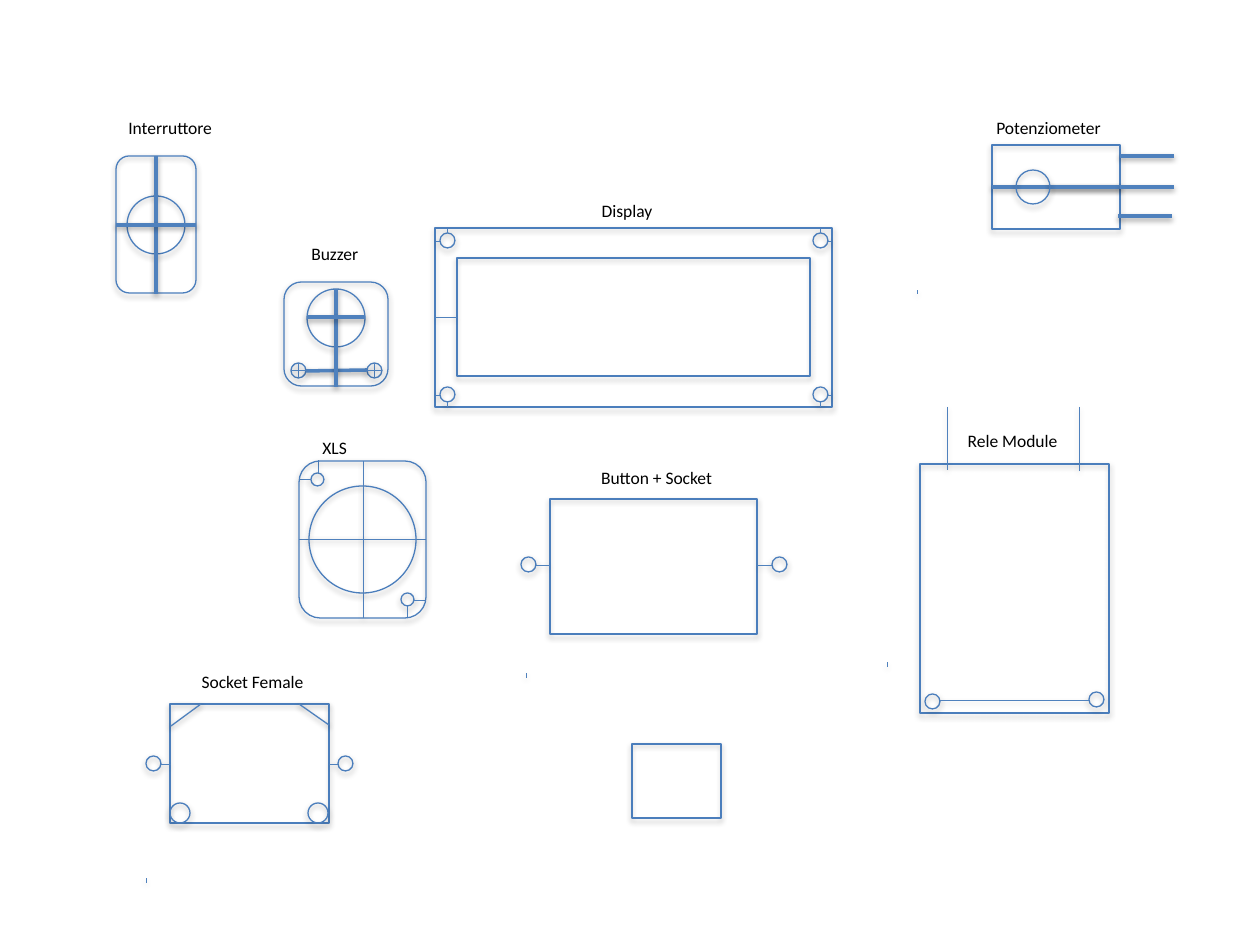
from pptx import Presentation
from pptx.dml.color import RGBColor
from pptx.enum.shapes import MSO_CONNECTOR as LINK, MSO_SHAPE as PRESET
from pptx.enum.text import MSO_AUTO_SIZE as FIT, PP_ALIGN as ALIGN
from pptx.util import Pt

EMU_PER_PX = 914400 / 126
COLORS = {"outline": "4B7EBC", "wire": "4F81BD", "text": "000000"}
HAIR, THIN, THICK = 0.25, 0.5, 2


def px(*lengths):
    return [round(length * EMU_PER_PX) for length in lengths]


def rgb(name):
    return RGBColor.from_string(COLORS[name])


def outline(part, preset, *frame, rotation=0):
    body = part.shapes.add_shape(preset, *px(*frame))
    body.rotation = rotation
    body.fill.background()
    body.line.color.rgb = rgb("outline")
    body.line.width = Pt(0.75)


def rings(part, diameter, *corners):
    for x, y in corners:
        outline(part, PRESET.OVAL, x, y, diameter, diameter)


def wires(part, width, *segments):
    for segment in segments:
        wire = part.shapes.add_connector(LINK.STRAIGHT, *px(*segment))
        wire.line.color.rgb = rgb("wire")
        wire.line.width = Pt(width)


def label(part, text, *frame, align=ALIGN.CENTER, size=10, font="Calibri", color="text"):
    box = part.shapes.add_textbox(*px(*frame))
    frame = box.text_frame
    frame.word_wrap = True
    frame.auto_size = FIT.SHAPE_TO_FIT_TEXT
    paragraph = frame.paragraphs[0]
    paragraph.alignment = align
    run = paragraph.add_run()
    run.text = text
    run.font.size = Pt(size)
    run.font.name = font
    run.font.color.rgb = rgb(color)


def buzzer(part):
    outline(part, PRESET.ROUNDED_RECTANGLE, 284, 282, 104, 104)
    rings(part, 58, (307, 289))
    rings(part, 15, (291, 363), (367, 363))
    wires(part, THICK, (306, 371, 368, 370), (336, 387, 336, 289), (365, 317, 307, 317))
    for x in (298, 374):
        wires(part, THIN, (x, 378, x, 363), (x + 8, 370, x - 7, 370))
    label(part, "Buzzer", 299, 237, 74, 34, align=ALIGN.LEFT)


def button_socket(part):
    outline(part, PRESET.RECTANGLE, 550, 499, 207, 135)
    label(part, "Button + Socket", 550, 461, 213, 34)
    rings(part, 15, (772, 557), (521, 557))
    wires(part, HAIR, (526, 678, 526, 673), (550, 565, 536, 565), (772, 565, 757, 565))


def display(part):
    outline(part, PRESET.RECTANGLE, 435, 228, 397, 179)
    label(part, "Display", 584, 194, 86, 34)
    for x, edge_x in ((447, (440, 436)), (820, (831, 827))):
        for y, edge_y in ((241, (233, 229)), (395, (407, 402))):
            rings(part, 15, (x - 7, y - 8))
            wires(part, HAIR, (x, edge_y[0], x, edge_y[1]), (edge_x[0], y, edge_x[1], y))
    outline(part, PRESET.RECTANGLE, 457, 258, 353, 118)
    wires(part, HAIR, (457, 317, 435, 317))


def xls(part):
    rings(part, 13, (311, 473), (401, 593))
    wires(part, HAIR, (318, 473, 318, 460), (311, 479, 299, 479),
          (426, 600, 413, 600), (407, 618, 407, 606), (426, 539, 299, 539))
    outline(part, PRESET.ROUNDED_RECTANGLE, 284, 476, 157, 127, rotation=90)
    label(part, "XLS", 310, 431, 58, 34, align=ALIGN.LEFT)
    rings(part, 107, (309, 486))
    wires(part, HAIR, (363, 618, 363, 461), (363, 593, 363, 486), (417, 539, 309, 539))


def socket_female(part):
    outline(part, PRESET.RECTANGLE, 170, 704, 159, 119)
    label(part, "Socket Female", 146, 665, 213, 34)
    rings(part, 15, (338, 756), (146, 756))
    rings(part, 20, (308, 803), (170, 803))
    wires(part, HAIR, (146, 883, 146, 878), (171, 764, 160, 764), (338, 764, 329, 764),
          (201, 704, 171, 704), (329, 704, 299, 704),
          (329, 704, 329, 725), (170, 705, 170, 726))
    wires(part, 0.75, (171, 726, 201, 704), (299, 704, 329, 725))


def rele_module(part):
    outline(part, PRESET.RECTANGLE, 920, 464, 189, 249)
    label(part, "Rele Module", 906, 424, 213, 55)
    rings(part, 15, (925, 694), (1089, 692))
    wires(part, HAIR, (887, 667, 887, 662), (1089, 700, 940, 700),
          (947, 407, 947, 470), (1079, 407, 1079, 471))


def interruttore(part):
    outline(part, PRESET.ROUNDED_RECTANGLE, 116, 156, 80, 137)
    rings(part, 58, (127, 196))
    label(part, "Interruttore", 116, 111, 238, 34, align=ALIGN.LEFT)
    wires(part, THICK, (156, 156, 156, 294), (116, 225, 196, 225))


def spare_block(part):
    outline(part, PRESET.RECTANGLE, 632, 744, 89, 74)


def potenziometer(part):
    outline(part, PRESET.RECTANGLE, 992, 145, 128, 84)
    label(part, "Potenziometer", 942, 111, 213, 34)
    wires(part, HAIR, (917, 294, 917, 290))
    wires(part, THICK, (992, 187, 1120, 187), (1120, 187, 1050, 187))
    rings(part, 34, (1016, 170))
    wires(part, THICK, (1120, 156, 1174, 156), (1118, 216, 1172, 216),
          (1120, 187, 1174, 187))


def main():
    deck = Presentation()
    deck.slide_width, deck.slide_height = px(1260, 945)
    slide = deck.slides.add_slide(deck.slide_layouts[6])
    for component in (buzzer, button_socket, display, xls, socket_female,
                      rele_module, interruttore, potenziometer):
        component(slide.shapes.add_group_shape())
    spare_block(slide)
    deck.save("out.pptx")


if __name__ == "__main__":
    main()
